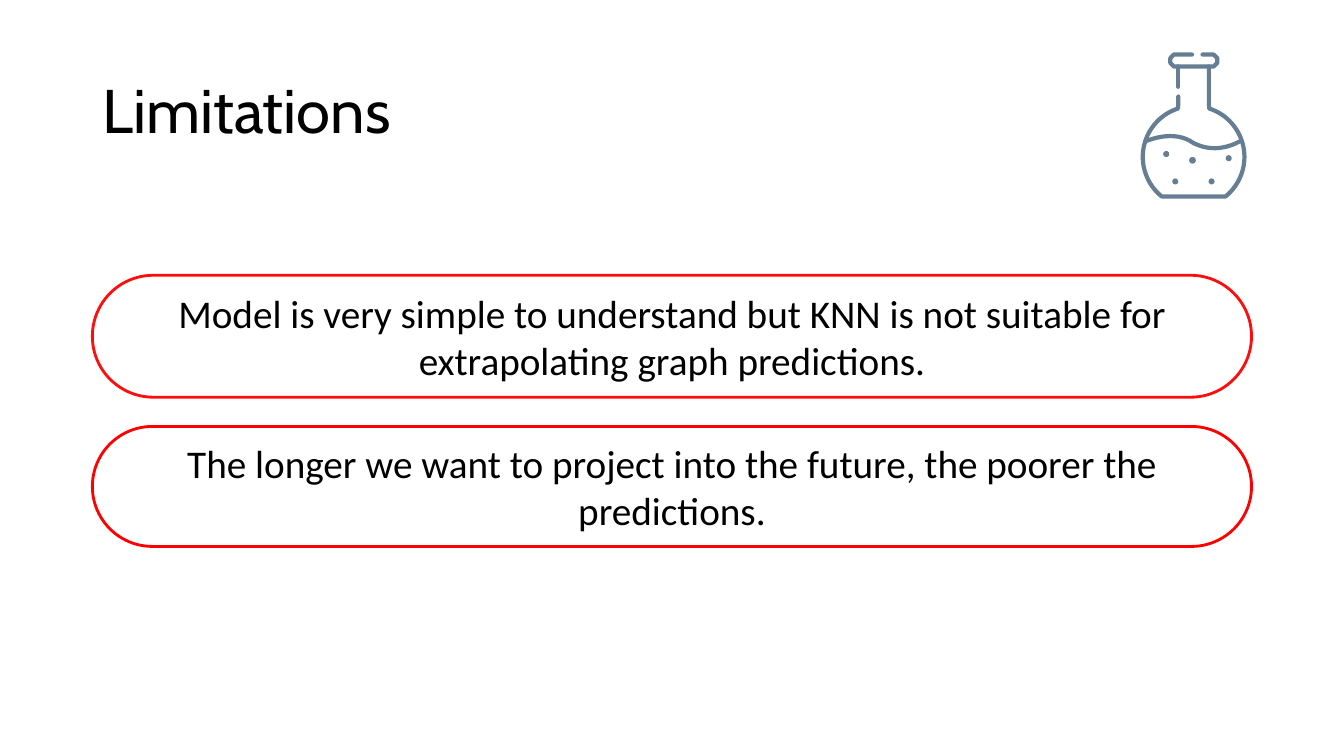
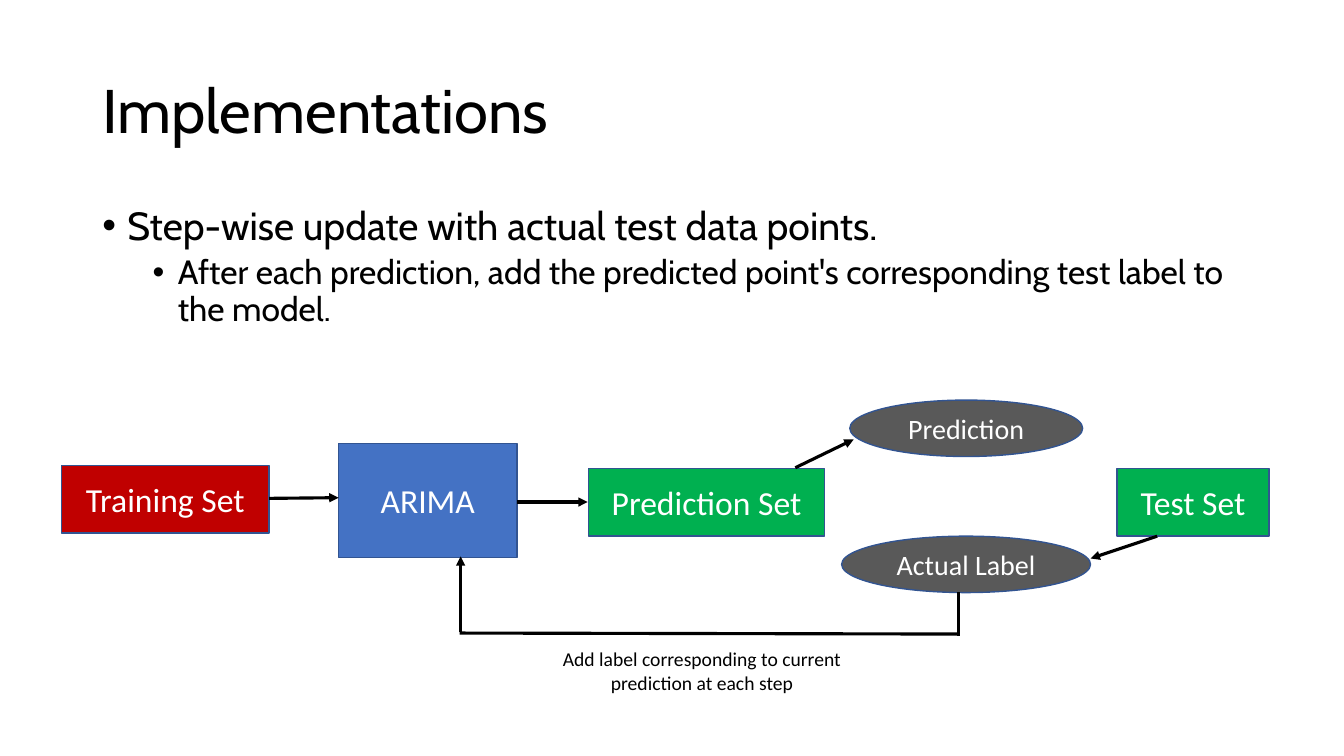
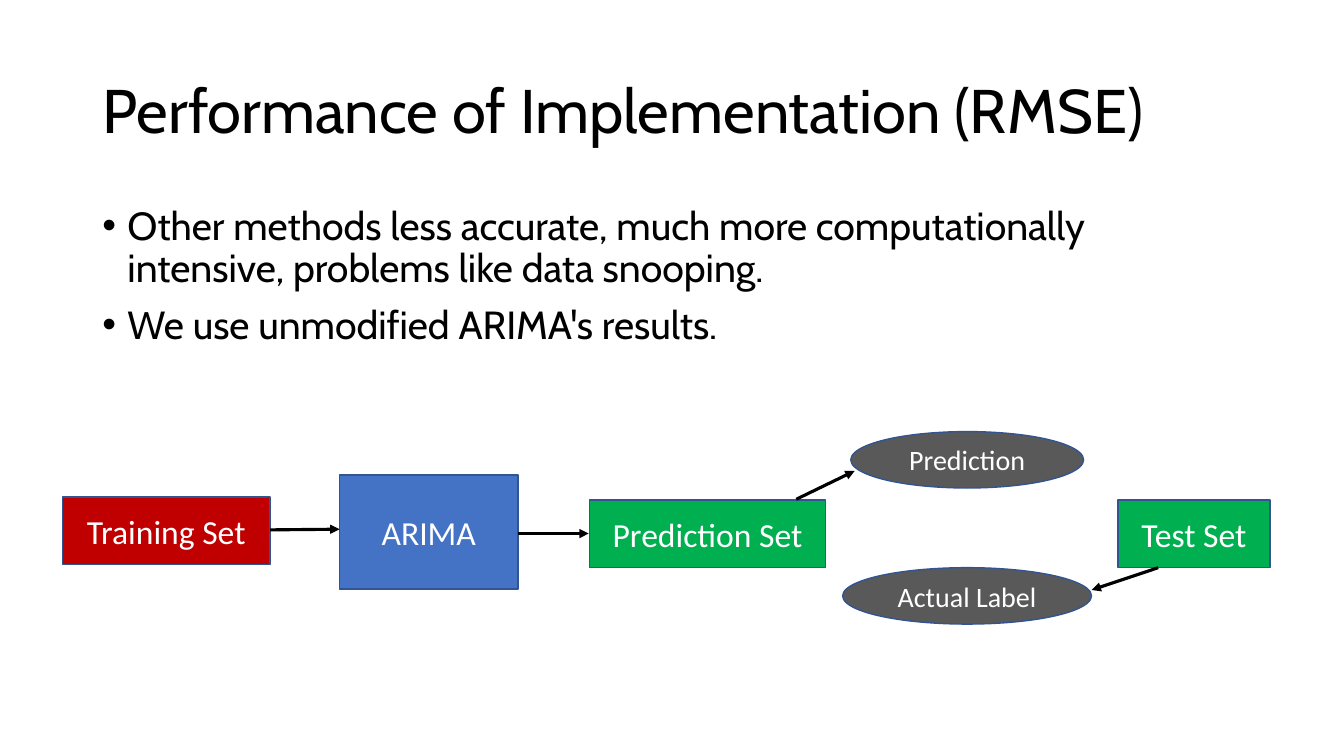
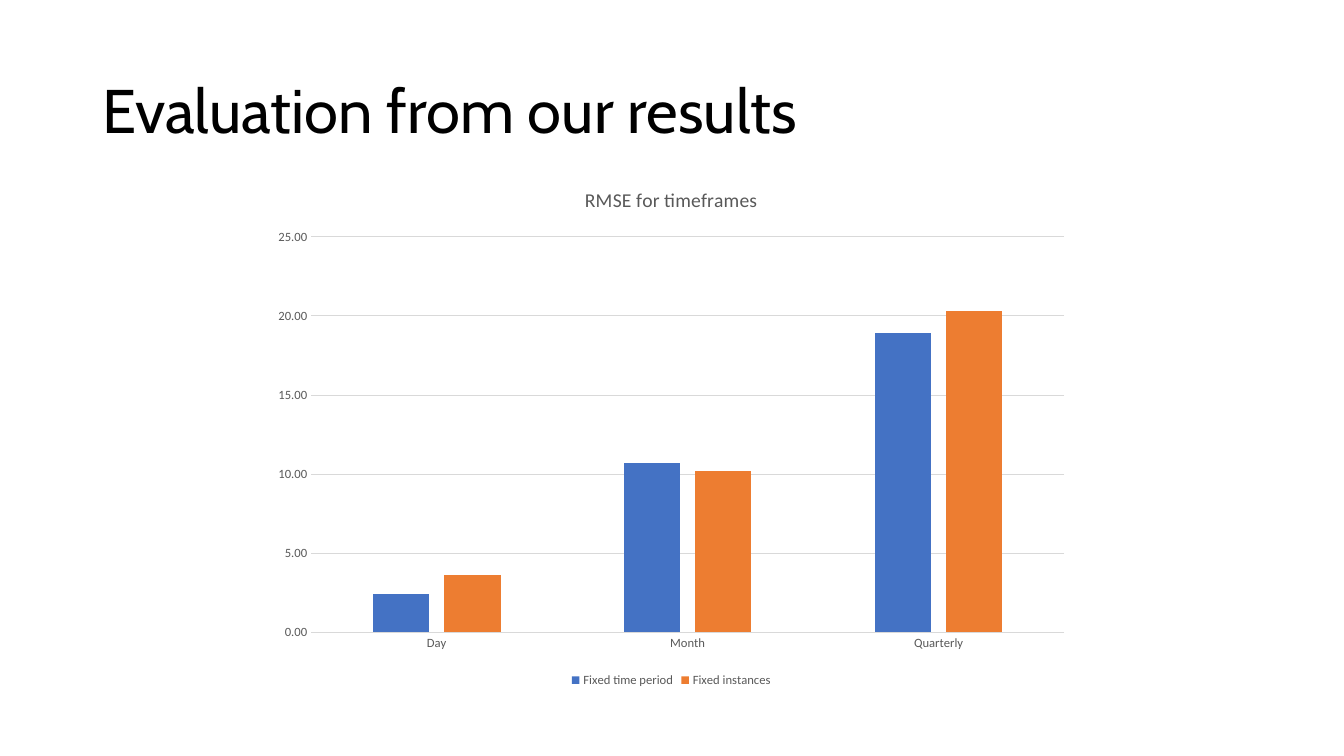
from dataclasses import dataclass
from math import cos, radians, sin
from typing import Any, Iterable, NamedTuple

from lxml.etree import SubElement
from pptx import Presentation
from pptx.chart.data import CategoryChartData
from pptx.dml.color import RGBColor
from pptx.enum.chart import XL_CHART_TYPE, XL_LEGEND_POSITION, XL_TICK_MARK
from pptx.enum.shapes import MSO_CONNECTOR, MSO_SHAPE
from pptx.enum.text import MSO_ANCHOR, PP_ALIGN
from pptx.oxml.ns import qn
from pptx.util import Pt

BLACK, WHITE, GREY, GRID = "000000", "FFFFFF", "595959", "D9D9D9"
BLUE, ORANGE, GREEN, DARK_RED = "4472C4", "ED7D31", "00B050", "C00000"
RED, EDGE, STEEL = "FF0000", "325491", "657E93"
HEADING, PLAIN = "Cabin", "Calibri"

Point = tuple[float, float]


class Box(NamedTuple):
    x: float
    y: float
    w: float
    h: float

    def emu(self) -> list[int]:
        return [Pt(v) for v in self]


@dataclass(frozen=True)
class Node:
    text: str
    box: Box
    fill: str
    size: int = 24
    kind: MSO_SHAPE = MSO_SHAPE.RECTANGLE


@dataclass(frozen=True)
class Link:
    x1: float
    y1: float
    x2: float
    y2: float
    arrow: bool = True


@dataclass(frozen=True)
class Bullet:
    text: str
    level: int = 0


TITLE_BOX = Box(66, 28.8, 828, 104.4)
BODY_BOX = Box(66, 144, 828, 342.7)

NODES = [
    Node("ARIMA", Box(241.9, 316.8, 127.4, 81.4), BLUE),
    Node("Test Set", Box(797.8, 334.8, 108.7, 48.2), GREEN),
    Node("Training Set", Box(43.9, 332.6, 148.3, 48.2), DARK_RED),
    Node("Prediction", Box(607, 285.8, 166.3, 40.3), GREY, 20, MSO_SHAPE.OVAL),
    Node("Actual Label", Box(601.2, 383, 177.8, 40.3), GREY, 20, MSO_SHAPE.OVAL),
    Node("Prediction Set", Box(420.5, 334.8, 168.5, 48.2), GREEN),
]
LINKS = [
    Link(192.2, 356, 241.9, 355.5),
    Link(369.4, 358.6, 419.8, 358.6),
    Link(568.1, 334.1, 609.8, 313.9),
    Link(826.6, 383, 779, 398.9),
]
FEEDBACK = [
    Link(329, 451.4, 329, 397.4),
    Link(328.3, 452.2, 684.7, 452.9, arrow=False),
    Link(684.7, 454.3, 684.7, 422.6, arrow=False),
]


def rgb(colour: str) -> RGBColor:
    return RGBColor.from_string(colour)


def set_font(font: Any, size: float, colour: str, name: str = PLAIN) -> None:
    for key, value in {"size": Pt(size), "name": name, "bold": False}.items():
        setattr(font, key, value)
    font.color.rgb = rgb(colour)


def paint(sp: Any, fill: str | None, line: str | None, width: float = 1) -> None:
    sp.shadow.inherit = False
    for part, colour in ((sp.fill, fill), (sp.line.fill, line)):
        if colour:
            part.solid()
            part.fore_color.rgb = rgb(colour)
        else:
            part.background()
    if line:
        sp.line.width = Pt(width)


def write(p: Any, text: str, size: float, colour: str, name: str = PLAIN,
          **formats: Any) -> None:
    r = p.add_run()
    r.text = text
    set_font(r.font, size, colour, name)
    for key, value in formats.items():
        setattr(p, key, value)


def add_text_box(s: Any, box: Box) -> Any:
    tf = s.shapes.add_textbox(*box.emu()).text_frame
    tf.word_wrap = True
    return tf


def add_title_slide(prs: Any, title: str) -> Any:
    """Add a blank slide with the shared title style."""
    s = prs.slides.add_slide(prs.slide_layouts[6])
    tf = add_text_box(s, TITLE_BOX)
    tf.vertical_anchor = MSO_ANCHOR.MIDDLE
    write(tf.paragraphs[0], title, 44, BLACK, HEADING, line_spacing=0.9)
    return s


def add_bullets(s: Any, bullets: list[Bullet]) -> None:
    tf = add_text_box(s, BODY_BOX)
    for i, bullet in enumerate(bullets):
        p = tf.add_paragraph() if i else tf.paragraphs[0]
        p.level = bullet.level
        pPr = p._p.get_or_add_pPr()
        pPr.set("marL", str(Pt(18 + 36 * bullet.level)))
        pPr.set("indent", str(Pt(-18)))
        SubElement(pPr, qn("a:buFont")).set("typeface", "Arial")
        SubElement(pPr, qn("a:buChar")).set("char", "•")
        before = (5 if bullet.level else 10) if i else 0
        write(p, bullet.text, 28 - 4 * bullet.level, BLACK, HEADING,
              line_spacing=0.9, space_before=Pt(before))


def add_label(sp: Any, text: str, size: float, colour: str) -> None:
    tf = sp.text_frame
    tf.word_wrap = True
    tf.vertical_anchor = MSO_ANCHOR.MIDDLE
    write(tf.paragraphs[0], text, size, colour, alignment=PP_ALIGN.CENTER)


def add_link(s: Any, link: Link, dx: float, dy: float) -> None:
    ends = (link.x1 + dx, link.y1 + dy, link.x2 + dx, link.y2 + dy)
    c = s.shapes.add_connector(MSO_CONNECTOR.STRAIGHT, *[Pt(v) for v in ends])
    c.line.color.rgb = rgb(BLACK)
    c.line.width = Pt(2.25)
    spPr = c._element.spPr
    if link.arrow:
        SubElement(spPr.find(qn("a:ln")), qn("a:tailEnd")).set("type", "triangle")
    SubElement(spPr, qn("a:effectLst"))


def add_diagram(s: Any, links: list[Link], dx: float = 0, dy: float = 0) -> None:
    for node in NODES:
        box = node.box._replace(x=node.box.x + dx, y=node.box.y + dy)
        sp = s.shapes.add_shape(node.kind, *box.emu())
        paint(sp, node.fill, EDGE)
        add_label(sp, node.text, node.size, WHITE)
    for link in links:
        add_link(s, link, dx, dy)


def add_stroke(s: Any, points: Iterable[Point]) -> None:
    """Draw an open outline with round ends."""
    first, *rest = [(Pt(x), Pt(y)) for x, y in points]
    builder = s.shapes.build_freeform(*first)
    builder.add_line_segments(rest, close=False)
    sp = builder.convert_to_shape()
    paint(sp, None, STEEL, 3)
    sp._element.spPr.find(qn("a:ln")).set("cap", "rnd")


def bezier(a: Point, b: Point, c: Point, d: Point, steps: int = 12) -> list[Point]:
    def at(t: float, i: int) -> float:
        u = 1 - t
        return u**3 * a[i] + 3 * u * u * t * b[i] + 3 * u * t * t * c[i] + t**3 * d[i]

    return [(at(k / steps, 0), at(k / steps, 1)) for k in range(steps + 1)]


def add_flask(s: Any) -> None:
    cx, cy, radius = 852.6, 112.1, 36.3
    neck_left, neck_right, rim_bottom = 841.7, 863.5, 47.5
    angles = [radians(a) for a in (*range(18, 142, 3), *range(219, 343, 3))]
    body = [(cx - radius * sin(a), cy - radius * cos(a)) for a in angles]
    add_stroke(s, [(neck_left, 69), (neck_left, 74.5), *body,
                   (neck_right, 74.5), (neck_right, rim_bottom)])
    add_stroke(s, [(neck_left, rim_bottom), (neck_left, 62)])
    add_stroke(s, [(851.5, 39), (838.5, 39), (836, 41.5), (836, 45),
                   (838.5, rim_bottom), (867, rim_bottom), (869.5, 45),
                   (869.5, 41.5), (867, 39), (859, 39)])
    crest = (852.5, 102.2)
    add_stroke(s, bezier((818, 101), (829.4, 96.5), (842.4, 95), crest)
               + bezier(crest, (862.6, 107.3), (874, 107.3), (886, 100.8)))
    for x, y, d in ((877.7, 113, 4.3), (865.4, 129.6, 4.3), (833, 110, 4.3),
                    (839.5, 129.6, 4.3), (851.8, 114.5, 4.8)):
        dot = Box(x - d / 2, y - d / 2, d, d)
        paint(s.shapes.add_shape(MSO_SHAPE.OVAL, *dot.emu()), STEEL, None)


def add_limitation(s: Any, text: str, box: Box, line: str) -> None:
    sp = s.shapes.add_shape(MSO_SHAPE.ROUNDED_RECTANGLE, *box.emu())
    sp.adjustments[0] = 0.5
    paint(sp, None, line, 2)
    for side in ("left", "top", "right", "bottom"):
        setattr(sp.text_frame, f"margin_{side}", Pt(7.2))
    add_label(sp, text, 28, BLACK)


def add_rmse_chart(s: Any) -> None:
    data = CategoryChartData(number_format="0.00")
    data.categories = ["Day", "Month", "Quarterly"]
    data.add_series("Fixed time period", [2.4, 10.7, 18.9])
    data.add_series("Fixed instances", [3.6, 10.2, 20.3])
    chart = s.shapes.add_chart(XL_CHART_TYPE.COLUMN_CLUSTERED,
                               *Box(187.2, 119.5, 584.6, 374.4).emu(), data).chart
    set_font(chart.font, 10, BLACK)

    chart.has_title = True
    write(chart.chart_title.text_frame.paragraphs[0], "RMSE for timeframes", 14, GREY)
    chart.chart_title.include_in_layout = False

    chart.has_legend = True
    legend = chart.legend
    legend.position = XL_LEGEND_POSITION.BOTTOM
    legend.include_in_layout = False
    set_font(legend.font, 9, GREY)

    plot = chart.plots[0]
    for key, value in {"gap_width": 219, "overlap": -27,
                       "vary_by_categories": False}.items():
        setattr(plot, key, value)
    for series, colour in zip(plot.series, (BLUE, ORANGE)):
        series.format.fill.solid()
        series.format.fill.fore_color.rgb = rgb(colour)

    cat, val = chart.category_axis, chart.value_axis
    for axis in (cat, val):
        axis.major_tick_mark = axis.minor_tick_mark = XL_TICK_MARK.NONE
        set_font(axis.tick_labels.font, 9, GREY)
    for key, value in {"minimum_scale": 0, "maximum_scale": 25, "major_unit": 5,
                       "has_major_gridlines": True}.items():
        setattr(val, key, value)
    val.tick_labels.number_format = "0.00"
    val.tick_labels.number_format_is_linked = False
    val.format.line.fill.background()
    for line in (cat.format.line, val.major_gridlines.format.line):
        line.color.rgb = rgb(GRID)
        line.width = Pt(0.75)


def main() -> None:
    prs = Presentation()
    prs.slide_width, prs.slide_height = Pt(960), Pt(540)

    s = add_title_slide(prs, "Limitations")
    add_limitation(s, "Model is very simple to understand but KNN is not suitable for "
                   "extrapolating graph predictions.", Box(66, 196.6, 828, 87.1), "FF0D0D")
    add_limitation(s, "The longer we want to project into the future, the poorer the "
                   "predictions.", Box(66, 304.6, 828, 85.7), RED)
    add_flask(s)

    s = add_title_slide(prs, "Implementations")
    add_bullets(s, [
        Bullet("Step-wise update with actual test data points."),
        Bullet("After each prediction, add the predicted point's corresponding "
               "test label to the model.", level=1),
    ])
    add_diagram(s, LINKS + FEEDBACK)
    tf = add_text_box(s, Box(391.7, 458.6, 219.6, 41))
    write(tf.paragraphs[0], "Add label corresponding to current prediction at each step",
          14, BLACK, alignment=PP_ALIGN.CENTER)

    s = add_title_slide(prs, "Performance of Implementation (RMSE)")
    add_bullets(s, [
        Bullet("Other methods less accurate, much more computationally intensive, "
               "problems like data snooping."),
        Bullet("We use unmodified ARIMA's results."),
    ])
    add_diagram(s, LINKS, dx=0.7, dy=22.5)

    s = add_title_slide(prs, "Evaluation from our results")
    add_rmse_chart(s)

    prs.save("out.pptx")


if __name__ == "__main__":
    main()
